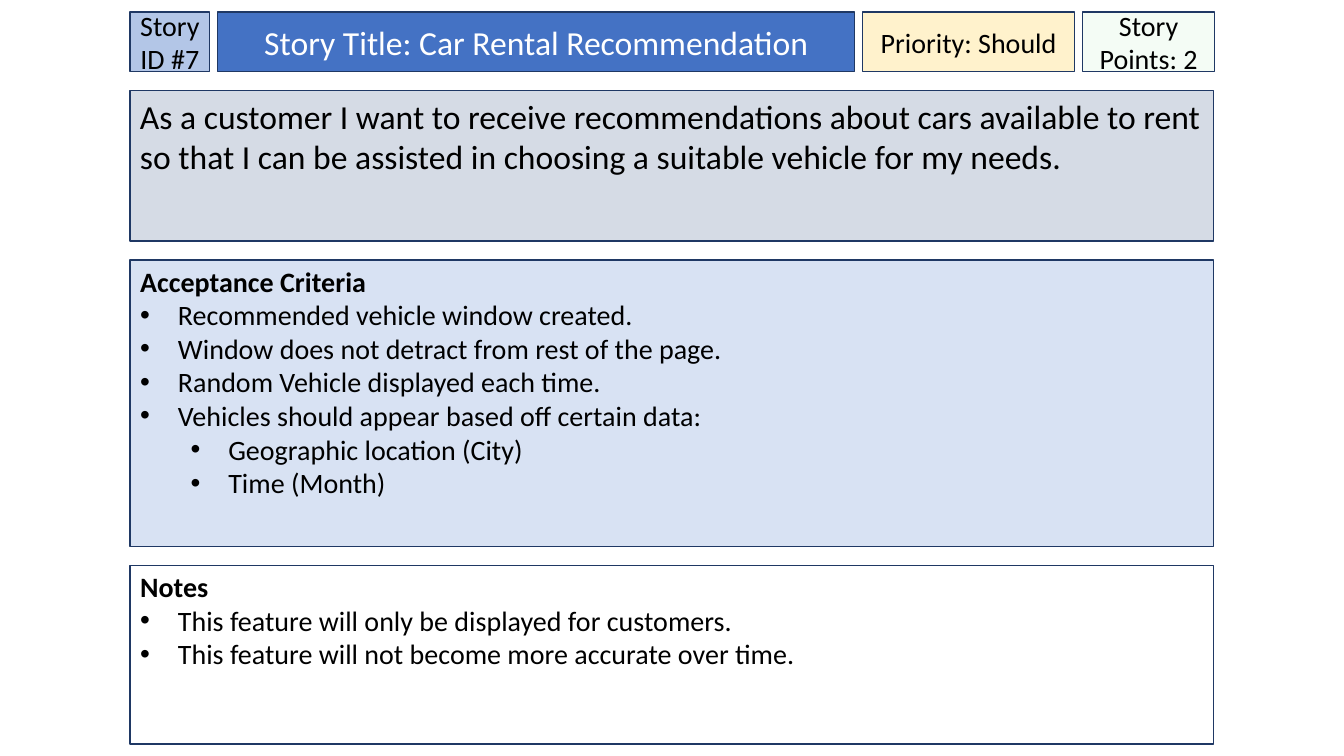
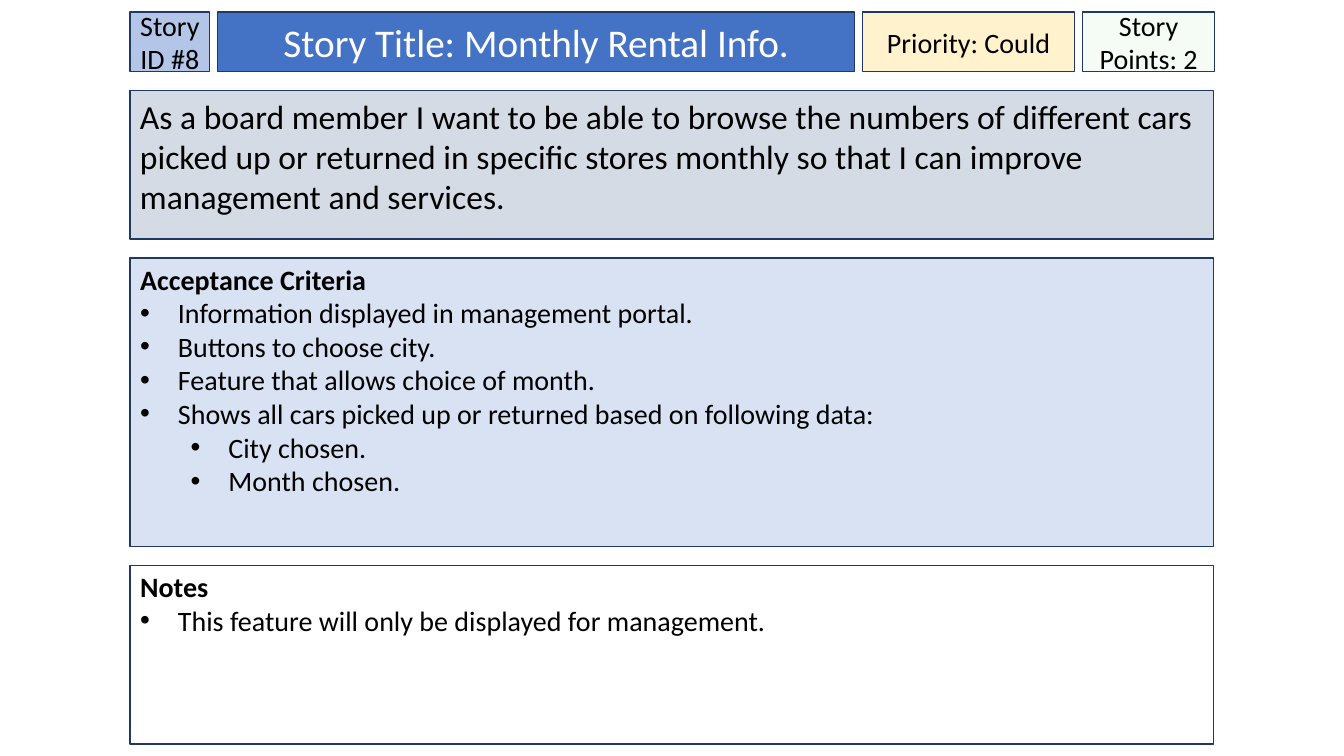
from dataclasses import dataclass

from lxml.etree import SubElement
from pptx import Presentation
from pptx.dml.color import RGBColor
from pptx.enum.shapes import MSO_SHAPE
from pptx.enum.text import MSO_ANCHOR as Anchor, MSO_AUTO_SIZE as AutoSize, PP_ALIGN as Align
from pptx.oxml.ns import qn
from pptx.shapes.autoshape import Shape
from pptx.slide import Slide
from pptx.util import Pt

# Shared colours
BLACK = RGBColor(0x00, 0x00, 0x00)
WHITE = RGBColor(0xFF, 0xFF, 0xFF)
BORDER = RGBColor(0x1F, 0x38, 0x64)
ID_BLUE = RGBColor(0xB3, 0xC6, 0xE7)
TITLE_BLUE = RGBColor(0x44, 0x72, 0xC4)
PRIORITY_CREAM = RGBColor(0xFF, 0xF2, 0xCC)
POINTS_GREEN = RGBColor(0xCC, 0xF0, 0xCD)
STORY_GREY = RGBColor(0xD5, 0xDB, 0xE5)
CRITERIA_BLUE = RGBColor(0xD8, 0xE2, 0xF3)

# Shared type and card grid, in points
FONT = "Calibri"
TEXT_SIZE, STORY_SIZE = 20, 24
LEFT, WIDTH = 92.88, 774
HEADER_TOP, HEADER_HEIGHT, HEADER_GAP = 8.64, 42.48, 5.76
ID_WIDTH, TITLE_WIDTH, PRIORITY_WIDTH, POINTS_WIDTH = 56.88, 455.04, 151.2, 94.32
PANEL_GAP = 13.68
STORY_TOP = HEADER_TOP + HEADER_HEIGHT + PANEL_GAP
CRITERIA_BOTTOM = 390.24
NOTES_TOP, NOTES_HEIGHT = CRITERIA_BOTTOM + PANEL_GAP, 127.44
BULLET_HANG, LEVEL_STEP = 27, 36
SIDE_INSET, EDGE_INSET, LIST_TOP_INSET = 7.2, 3.6, 2.88


@dataclass(frozen=True)
class Box:
    left: float
    top: float
    width: float
    height: float


@dataclass(frozen=True)
class Item:
    text: str
    level: int = 0


@dataclass(frozen=True)
class StoryCard:
    number: int
    title: str
    title_size: int
    priority: str
    points: int
    story: str
    story_height: float
    criteria: tuple[Item, ...]
    notes: tuple[Item, ...]


CARDS = (
    StoryCard(
        7, "Car Rental Recommendation", 24, "Should", 2,
        "As a customer I want to receive recommendations about cars available to rent "
        "so that I can be assisted in choosing a suitable vehicle for my needs.",
        107.28,
        (
            Item("Recommended vehicle window created."),
            Item("Window does not detract from rest of the page."),
            Item("Random Vehicle displayed each time."),
            Item("Vehicles should appear based off certain data:"),
            Item("Geographic location (City)", 1),
            Item("Time (Month)", 1),
        ),
        (
            Item("This feature will only be displayed for customers."),
            Item("This feature will not become more accurate over time."),
        ),
    ),
    StoryCard(
        8, "Monthly Rental Info.", 28, "Could", 2,
        "As a board member I want to be able to browse the numbers of different cars "
        "picked up or returned in specific stores monthly so that I can improve "
        "management and services.",
        105.84,
        (
            Item("Information displayed in management portal."),
            Item("Buttons to choose city."),
            Item("Feature that allows choice of month."),
            Item("Shows all cars picked up or returned based on following data:"),
            Item("City chosen.", 1),
            Item("Month chosen.", 1),
        ),
        (Item("This feature will only be displayed for management."),),
    ),
)


def style_box(panel: Shape, box: Box, fill: RGBColor, anchor: Anchor,
              side_inset: float = SIDE_INSET, top_inset: float = EDGE_INSET) -> None:
    """Place a panel and give it the card's fill, border and text frame."""
    panel.left, panel.top = Pt(box.left), Pt(box.top)
    panel.width, panel.height = Pt(box.width), Pt(box.height)
    panel.shadow.inherit = False
    panel.fill.solid()
    panel.fill.fore_color.rgb = fill
    panel.line.color.rgb = BORDER
    panel.line.width = Pt(1)
    frame = panel.text_frame
    frame.word_wrap = True
    frame.auto_size = AutoSize.NONE
    frame.vertical_anchor = anchor
    frame.margin_left = frame.margin_right = Pt(side_inset)
    frame.margin_top, frame.margin_bottom = Pt(top_inset), Pt(EDGE_INSET)


def write(paragraph, text: str, size: int = TEXT_SIZE, color: RGBColor = BLACK,
          bold: bool = False, align: Align = Align.LEFT) -> None:
    paragraph.alignment = align
    paragraph.line_spacing = 1.0
    paragraph.space_before = paragraph.space_after = Pt(0)
    run = paragraph.add_run()
    run.text = text
    run.font.name = FONT
    run.font.size = Pt(size)
    run.font.bold = bold
    run.font.color.rgb = color


def set_bullet(paragraph, level: int) -> None:
    paragraph.level = level
    props = paragraph._p.get_or_add_pPr()
    props.set("marL", str(Pt(BULLET_HANG + level * LEVEL_STEP)))
    props.set("indent", str(-Pt(BULLET_HANG)))
    SubElement(SubElement(props, qn("a:buClr")), qn("a:srgbClr")).set("val", str(BLACK))
    SubElement(props, qn("a:buFont")).set("typeface", "Arial")
    SubElement(props, qn("a:buChar")).set("char", "•")


def set_opacity(panel: Shape, percent: int) -> None:
    color = panel._element.spPr.find(qn("a:solidFill")).find(qn("a:srgbClr"))
    SubElement(color, qn("a:alpha")).set("val", str(percent * 1000))


def add_panel(slide: Slide, box: Box, fill: RGBColor, text: str, size: int, align: Align,
              anchor: Anchor, side_inset: float) -> Shape:
    panel = slide.shapes.add_shape(MSO_SHAPE.RECTANGLE, 0, 0, 0, 0)
    style_box(panel, box, fill, anchor, side_inset)
    write(panel.text_frame.paragraphs[0], text, size, align=align)
    return panel


def add_badge(slide: Slide, box: Box, fill: RGBColor, text: str) -> Shape:
    return add_panel(slide, box, fill, text, TEXT_SIZE, Align.CENTER, Anchor.MIDDLE, 0)


def fill_list(panel: Shape, box: Box, fill: RGBColor, heading: str,
              items: tuple[Item, ...]) -> None:
    style_box(panel, box, fill, Anchor.TOP, top_inset=LIST_TOP_INSET)
    frame = panel.text_frame
    heading_line = frame.paragraphs[0]
    write(heading_line, heading, bold=True)
    props = heading_line._p.get_or_add_pPr()
    props.set("marL", "0")
    props.set("indent", "0")
    SubElement(props, qn("a:buNone"))
    for item in items:
        line = frame.add_paragraph()
        write(line, item.text)
        set_bullet(line, item.level)


def header_boxes() -> list[Box]:
    boxes, left = [], LEFT
    for width in (ID_WIDTH, TITLE_WIDTH, PRIORITY_WIDTH, POINTS_WIDTH):
        boxes.append(Box(left, HEADER_TOP, width, HEADER_HEIGHT))
        left += width + HEADER_GAP
    return boxes


def draw_card(slide: Slide, card: StoryCard) -> None:
    # Header row
    id_box, title_box, priority_box, points_box = header_boxes()
    title = slide.shapes.title
    style_box(title, title_box, TITLE_BLUE, Anchor.MIDDLE)
    write(title.text_frame.paragraphs[0], f"Story Title: {card.title}", card.title_size,
          WHITE, align=Align.CENTER)
    add_badge(slide, id_box, ID_BLUE, f"Story ID #{card.number}")
    add_badge(slide, priority_box, PRIORITY_CREAM, f"Priority: {card.priority}")
    points = add_badge(slide, points_box, POINTS_GREEN, f"Story Points: {card.points}")
    set_opacity(points, 20)

    # User story
    add_panel(slide, Box(LEFT, STORY_TOP, WIDTH, card.story_height), STORY_GREY, card.story,
              STORY_SIZE, Align.LEFT, Anchor.TOP, SIDE_INSET)

    # Criteria and notes
    criteria_top = STORY_TOP + card.story_height + PANEL_GAP
    fill_list(slide.placeholders[1],
              Box(LEFT, criteria_top, WIDTH, CRITERIA_BOTTOM - criteria_top),
              CRITERIA_BLUE, "Acceptance Criteria", card.criteria)
    fill_list(slide.placeholders[2], Box(LEFT, NOTES_TOP, WIDTH, NOTES_HEIGHT),
              WHITE, "Notes", card.notes)


deck = Presentation()
deck.slide_width, deck.slide_height = Pt(960), Pt(540)
two_lists = deck.slide_layouts.get_by_name("Two Content")
for story_card in CARDS:
    draw_card(deck.slides.add_slide(two_lists), story_card)
deck.save("out.pptx")
